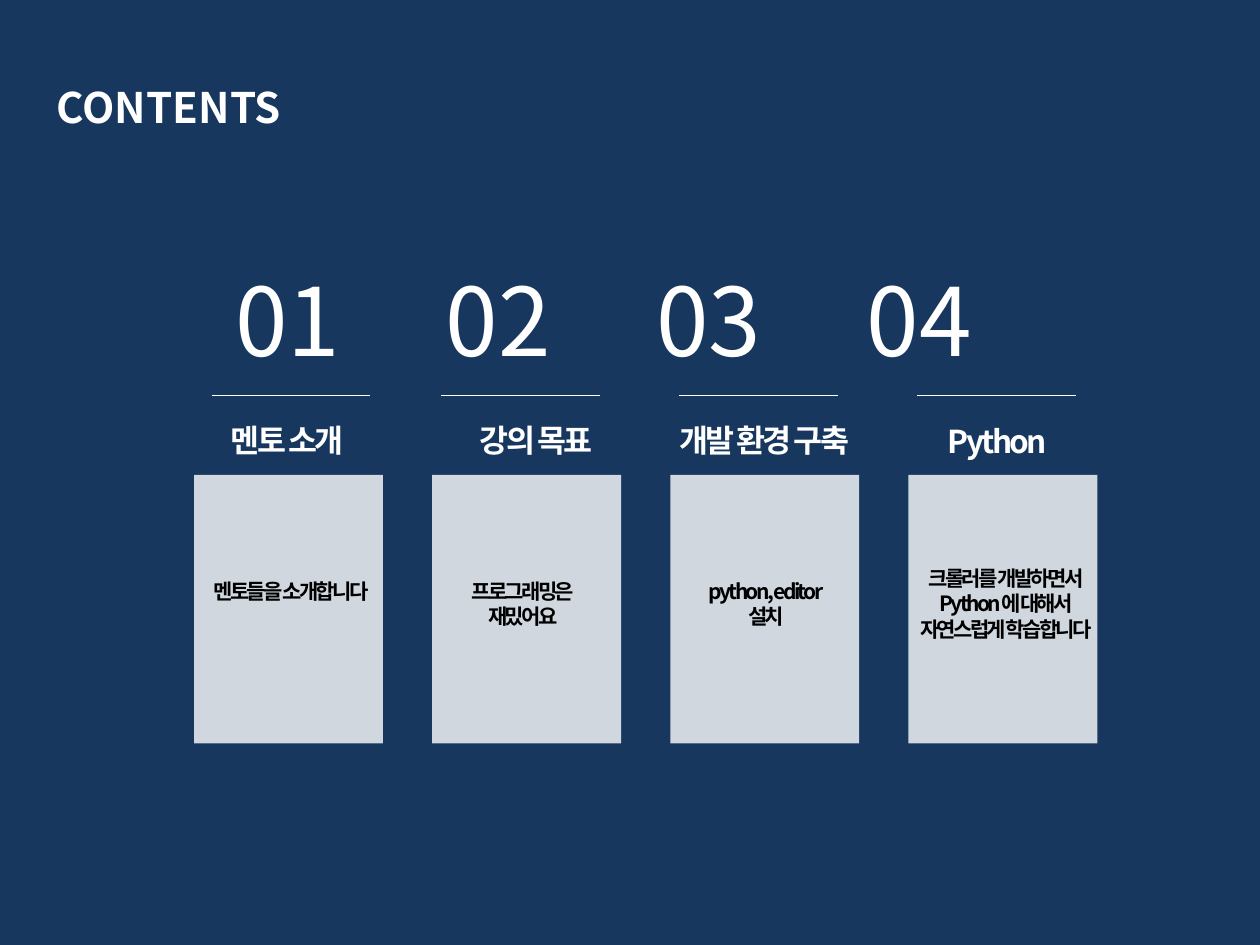
from dataclasses import dataclass

from lxml.etree import SubElement
from pptx import Presentation
from pptx.dml.color import RGBColor
from pptx.enum.shapes import MSO_CONNECTOR, MSO_SHAPE
from pptx.enum.text import MSO_ANCHOR, MSO_AUTO_SIZE, PP_ALIGN
from pptx.oxml.ns import qn
from pptx.slide import Slide
from pptx.util import Inches, Pt


def colour(value):
    """Turn a hex string into a colour."""
    return RGBColor.from_string(value)


def write(box, text, size, ink="FFFFFF", bold=False, spacing=0,
          align=PP_ALIGN.LEFT):
    """Fill a box with text, one paragraph per line."""
    frame = box.text_frame
    frame.word_wrap = True
    frame.auto_size = MSO_AUTO_SIZE.SHAPE_TO_FIT_TEXT
    frame.vertical_anchor = MSO_ANCHOR.TOP
    frame.text = text
    for para in frame.paragraphs:
        para.alignment = align
        for span in para.runs:
            font = span.font
            font.name, font.size, font.bold = Page.typeface, Pt(size), bold
            font.color.rgb = colour(ink)
            properties = span._r.get_or_add_rPr()
            properties.set("spc", str(int(spacing * 100)))
            SubElement(properties, qn("a:ea"), typeface=Page.typeface)


@dataclass
class Page:
    """Hold the style and the current slide."""
    slide: Slide
    typeface = "Noto Sans CJK KR"
    navy = "17375E"
    white = "FFFFFF"
    black = "000000"

    def background(self):
        """Paint the slide background."""
        fill = self.slide.background.fill
        fill.solid()
        fill.fore_color.rgb = colour(self.navy)

    def title(self, text, left, top, width, height):
        """Place and format the title."""
        box = self.slide.shapes.title
        box.left, box.top = Inches(left), Inches(top)
        box.width, box.height = Inches(width), Inches(height)
        write(box, text, 24, bold=True)

    def text(self, text, left, top, width, height, size, **style):
        """Add a text box."""
        box = self.slide.shapes.add_textbox(
            Inches(left), Inches(top), Inches(width), Inches(height))
        write(box, text, size, **style)
        return box

    def label(self, text, left, top, width, height, size, ink):
        """Add a bold, tight, centred text box."""
        self.text(text, left, top, width, height, size, ink=ink, bold=True,
                  spacing=-1.5, align=PP_ALIGN.CENTER)

    def numbers(self, numbers, left, top, width, height, pitch):
        """Add a row of large numbers on even tab stops."""
        box = self.text("\t".join(numbers), left, top, width, height, 54)
        properties = box.text_frame.paragraphs[0]._p.get_or_add_pPr()
        stops = SubElement(properties, qn("a:tabLst"))
        for index in range(1, len(numbers)):
            SubElement(stops, qn("a:tab"), algn="l",
                       pos=str(Inches(pitch * index)))

    def card(self, left, top, width, height):
        """Add a translucent panel."""
        panel = self.slide.shapes.add_shape(
            MSO_SHAPE.RECTANGLE, Inches(left), Inches(top),
            Inches(width), Inches(height))
        panel.shadow.inherit = False
        panel.line.fill.background()
        panel.fill.solid()
        panel.fill.fore_color.rgb = colour(self.white)
        tint = panel._element.spPr.find(".//" + qn("a:srgbClr"))
        SubElement(tint, qn("a:alpha"), val="80000")

    def rule(self, left, top, width):
        """Add a thin horizontal line."""
        line = self.slide.shapes.add_connector(
            MSO_CONNECTOR.STRAIGHT, Inches(left), Inches(top),
            Inches(left + width), Inches(top))
        line.line.color.rgb = colour(self.white)
        line.line.width = Pt(0.75)
        SubElement(line._element.spPr, qn("a:effectLst"))


deck = Presentation()
deck.slide_width, deck.slide_height = Inches(10), Inches(7.5)
page = Page(deck.slides.add_slide(deck.slide_layouts[5]))
page.background()
page.title("CONTENTS", 0.35, 0.6, 4.57, 0.5)
page.numbers(["01", "02", "03", "04"], 1.77, 2.03, 8.2, 1.01, pitch=1.67)

sections = [
    (1.68, ("멘토 소개", 1.53, 3.29, 1.5, 0.4),
     ("멘토들을 소개합니다", 1.56, 4.54, 1.5, 0.3)),
    (3.5, ("강의 목표", 3.35, 3.29, 1.81, 0.4),
     ("프로그래밍은\n재밌어요", 3.4, 4.54, 1.5, 0.5)),
    (5.39, ("개발 환경 구축", 5.16, 3.29, 1.81, 0.4),
     ("python, editor\n설치", 5.33, 4.54, 1.5, 0.5)),
    (7.28, ("Python", 6.89, 3.3, 2.05, 0.4),
     ("크롤러를 개발하면서\nPython에 대해서\n자연스럽게 학습합니다",
      7.18, 4.44, 1.61, 0.71)),
]
for index, (rule_left, heading, summary) in enumerate(sections):
    page.card(1.54 + 1.89 * index, 3.77, 1.5, 2.13)
    page.rule(rule_left, 3.14, 1.26)
    page.label(*heading, size=18, ink=page.white)
    page.label(*summary, size=12, ink=page.black)

deck.save("out.pptx")
